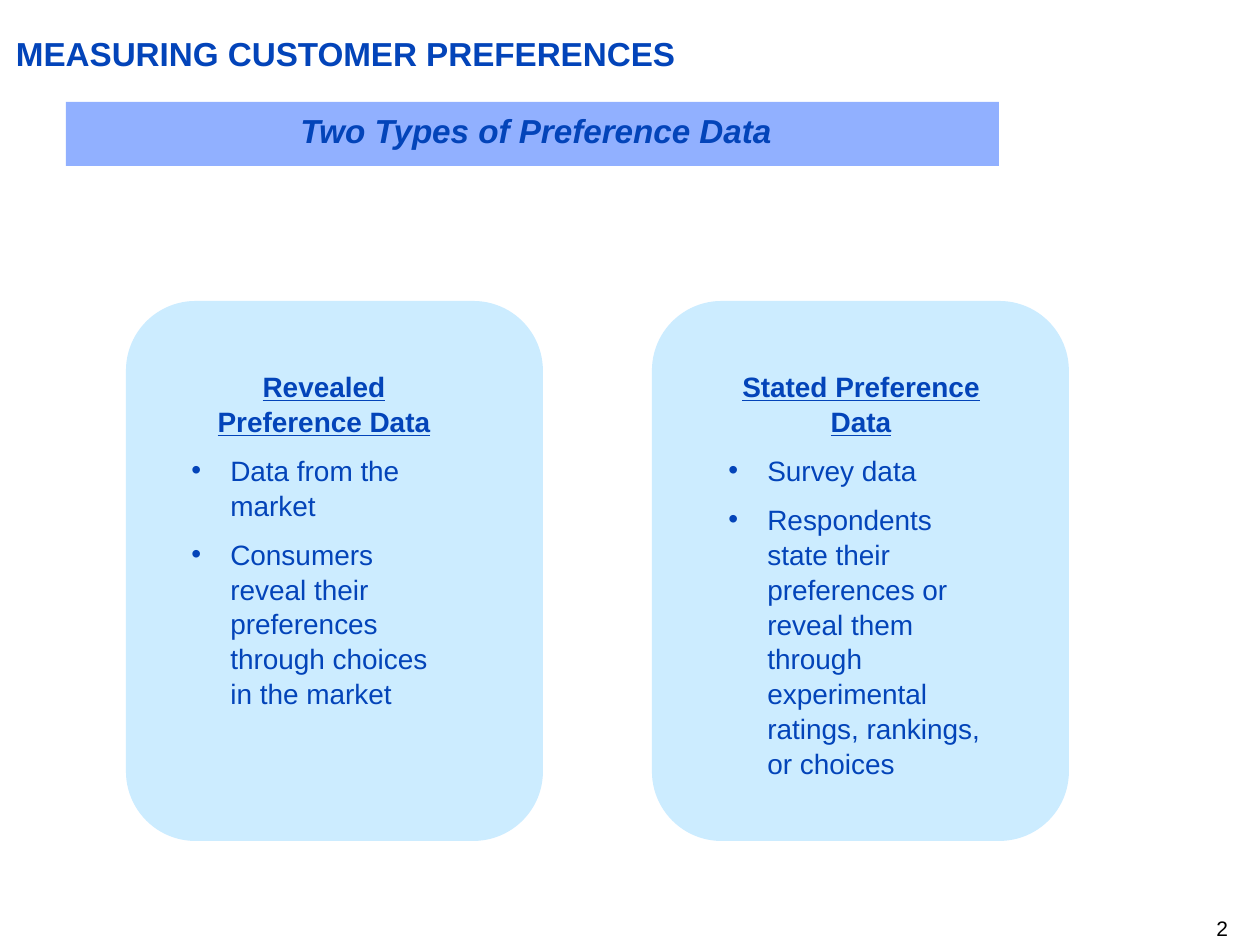
from lxml import etree
from pptx import Presentation
from pptx.dml.color import RGBColor
from pptx.enum.shapes import MSO_SHAPE
from pptx.enum.text import PP_ALIGN
from pptx.oxml.ns import qn
from pptx.util import Emu, Pt

RECT, ROUNDED = MSO_SHAPE.RECTANGLE, MSO_SHAPE.ROUNDED_RECTANGLE
LEFT, CENTER, RIGHT = PP_ALIGN.LEFT, PP_ALIGN.CENTER, PP_ALIGN.RIGHT

BLUE = RGBColor(0x03, 0x44, 0xB9)
BLACK = RGBColor(0, 0, 0)
CARD_FILL = RGBColor(0xCC, 0xEC, 0xFF)
BANNER_FILL = RGBColor(0x91, 0xB0, 0xFF)

TITLE = {"size": Pt(19), "bold": True}
BANNER = {"size": Pt(19), "bold": True, "italic": True}
HEADING = {"size": Pt(16), "bold": True, "underline": True}
BODY = {"size": Pt(16)}
NUMBER = {"size": Pt(12)}

CARDS = [
    (126, 179, 352, "Revealed Preference Data", [
        "Data from the market",
        "Consumers reveal their preferences through choices in the market",
    ]),
    (652, 716, 420, "Stated Preference Data", [
        "Survey data",
        "Respondents state their preferences or reveal them through "
        "experimental ratings, rankings, or choices",
    ]),
]


def px(n):
    return Emu(round(n * 914400 / 126))


def add_panel(slide, kind, box, fill):
    sp = slide.shapes.add_shape(kind, *map(px, box))
    sp.shadow.inherit = False
    sp.fill.solid()
    sp.fill.fore_color.rgb = fill
    sp.line.fill.background()


def add_frame(slide, box, inset_x=0, inset_y=0):
    tf = slide.shapes.add_textbox(*map(px, box)).text_frame
    tf.word_wrap = True
    tf.margin_left = tf.margin_right = px(inset_x)
    tf.margin_top = tf.margin_bottom = px(inset_y)
    return tf


def write(p, text, style, align=LEFT, color=BLACK):
    p.alignment = align
    r = p.add_run()
    r.text = text
    r.font.name = "Arial"
    r.font.color.rgb = color
    for name, value in style.items():
        setattr(r.font, name, value)


def set_bullet(p):
    pPr = p._p.get_or_add_pPr()
    pPr.set("marL", str(px(39)))
    pPr.set("indent", str(-px(39)))
    etree.SubElement(pPr, qn("a:buFont")).set("typeface", "Arial")
    etree.SubElement(pPr, qn("a:buChar")).set("char", "•")


def add_line(slide, box, text, style, align=LEFT, color=BLUE):
    write(add_frame(slide, box).paragraphs[0], text, style, align, color)


def add_card(slide, left, text_left, text_height, heading, points):
    add_panel(slide, ROUNDED, (left, 301, 417, 540), CARD_FILL)
    tf = add_frame(slide, (text_left, 362, 290, text_height), 12.6, 6.3)
    p = tf.paragraphs[0]
    p.line_spacing = 1.04
    write(p, heading, HEADING, CENTER, BLUE)
    for point in points:
        p = tf.add_paragraph()
        set_bullet(p)
        p.line_spacing = 1.04
        p.space_before = Pt(8)
        write(p, point, BODY, LEFT, BLUE)


def main():
    prs = Presentation()
    prs.slide_width, prs.slide_height = px(1260), px(945)
    slide = prs.slides.add_slide(prs.slide_layouts[6])
    add_line(slide, (16, 33, 1212, 40), "MEASURING CUSTOMER PREFERENCES", TITLE)
    add_line(slide, (966, 916, 262, 25), "2", NUMBER, RIGHT, BLACK)
    for card in CARDS:
        add_card(slide, *card)
    add_panel(slide, RECT, (66, 102, 933, 64), BANNER_FILL)
    add_line(slide, (88, 110, 896, 40), "Two Types of Preference Data", BANNER, CENTER)
    prs.save("out.pptx")


if __name__ == "__main__":
    main()
